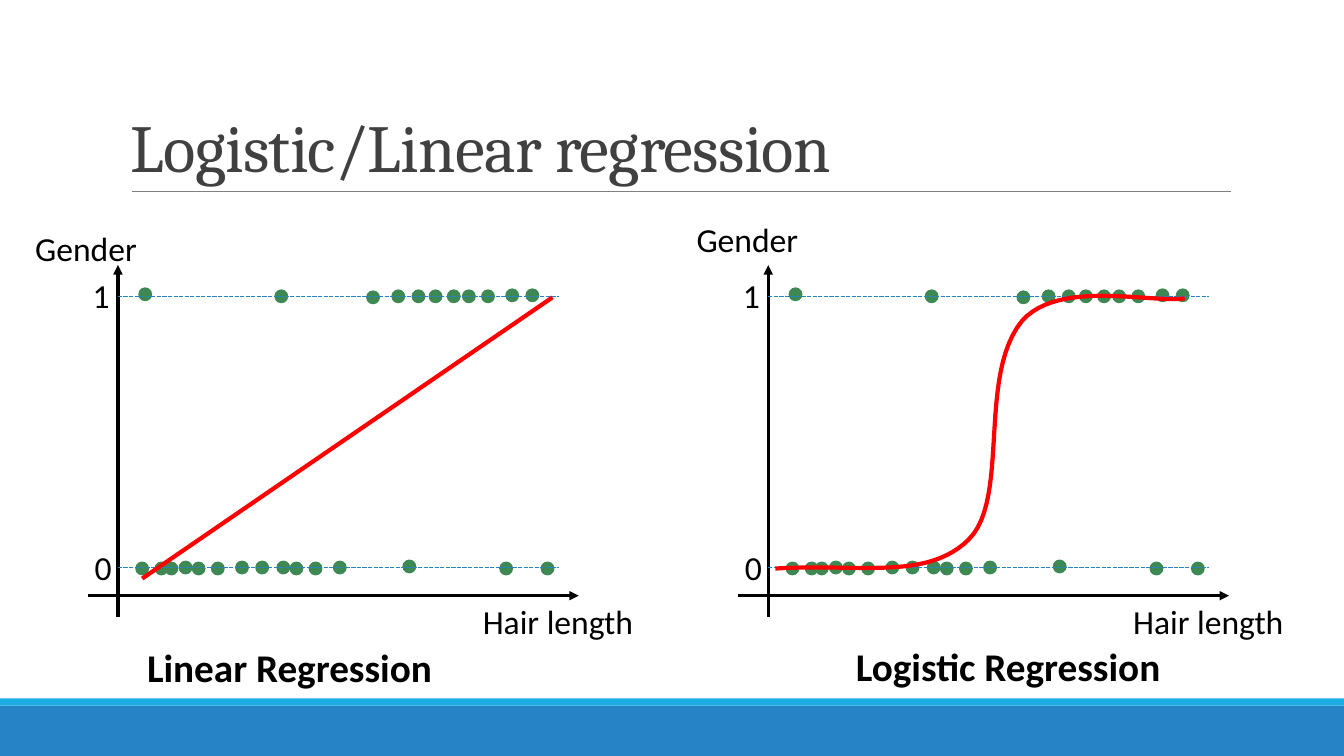
"""Builds a slide comparing linear and logistic regression."""
from pptx import Presentation
from pptx import util as u
from pptx.dml.color import RGBColor
from pptx.enum import dml, shapes, text
from pptx.oxml import ns, xmlchemy

COLORS = {"blue": "2683C6", "cyan": "1CADE4", "rule": "808080", "title": "404040",
          "black": "000000", "dot": "3E8853", "fit": "FF0000"}
DOT = 0.12
ONES = [(0.51, 0.23), (1.86, 0.25), (2.77, 0.26), (3.02, 0.25), (3.22, 0.25),
        (3.39, 0.25), (3.57, 0.25), (3.72, 0.25), (3.91, 0.25), (4.15, 0.24),
        (4.35, 0.24)]
ZEROS = [(0.48, 2.95), (0.67, 2.95), (0.77, 2.95), (0.91, 2.94), (1.04, 2.95),
         (1.23, 2.95), (1.47, 2.94), (1.67, 2.94), (1.88, 2.94), (2.01, 2.95),
         (2.2, 2.95), (2.44, 2.94), (3.13, 2.93), (4.09, 2.95), (4.5, 2.95)]
SIGMOID = [(0.37, 3.01), (1.21, 2.96), (1.88, 3.13), (2.29, 2.72), (2.7, 2.31),
           (2.37, 1.09), (2.82, 0.55), (3.19, 0.14), (4.09, 0.38), (4.43, 0.33)]


def color(name):
    """Return a named colour."""
    return RGBColor.from_string(COLORS[name])


def add_solid(s, kind, x, y, w, h, fill, border=None):
    """Add a filled preset shape, with a border in its own colour if asked."""
    sp = s.shapes.add_shape(kind, *map(u.Inches, (x, y, w, h)))
    sp.shadow.inherit = False
    sp.fill.solid()
    sp.fill.fore_color.rgb = color(fill)
    if border:
        sp.line.color.rgb = color(fill)
        sp.line.width = u.Pt(border)
    else:
        sp.line.fill.background()


def add_line(s, x1, y1, x2, y2, name, width, dash=None, arrow=False):
    """Add a straight line, dashed or with an arrowhead if asked."""
    cx = s.shapes.add_connector(shapes.MSO_CONNECTOR.STRAIGHT,
                                *map(u.Inches, (x1, y1, x2, y2)))
    cx.line.color.rgb = color(name)
    cx.line.width = u.Pt(width)
    if dash:
        cx.line.dash_style = dash
    if arrow:
        tail = xmlchemy.OxmlElement("a:tailEnd")
        tail.set("type", "triangle")
        cx._element.spPr.find(ns.qn("a:ln")).append(tail)
    cx._element.spPr.append(xmlchemy.OxmlElement("a:effectLst"))


def add_text(s, x, y, w, h, words, size, font="Calibri", name="black", bold=False):
    """Add a one-run text box and return its shape."""
    sp = s.shapes.add_textbox(*map(u.Inches, (x, y, w, h)))
    tf = sp.text_frame
    tf.word_wrap = True
    r = tf.paragraphs[0].add_run()
    r.text = words
    r.font.size = u.Pt(size)
    r.font.name = font
    r.font.bold = bold
    r.font.color.rgb = color(name)
    return sp


def add_header(s, x, y, w, h):
    """Add the title and the rule under it."""
    tf = add_text(s, x, y, w, h, "Logistic/Linear regression", 48, "Cambria",
                  "title").text_frame
    tf.vertical_anchor = text.MSO_ANCHOR.BOTTOM
    p = tf.paragraphs[0]
    p.line_spacing = 0.85
    p.runs[0].font._element.set("spc", "-50")
    add_line(s, x + 0.11, y + h, x + w + 0.01, y + h, "rule", 0.5)


def add_footer(s, y, w):
    """Add the two bands at the foot of the slide."""
    add_solid(s, shapes.MSO_SHAPE.RECTANGLE, 0, y + 0.07, w, 0.5, "blue")
    add_solid(s, shapes.MSO_SHAPE.RECTANGLE, 0, y, w, 0.07, "cyan")


def add_plot(s, x, y, w, h, gender_at, caption, caption_at):
    """Add axes, observations, class levels and labels of one plot."""
    axis_x, axis_y = x + 0.3, y + 3.28
    add_line(s, axis_x, y + h, axis_x, y, "black", 2.25, arrow=True)
    add_line(s, x, axis_y, x + w, axis_y, "black", 2.25, arrow=True)
    for dx, dy in ONES + ZEROS:
        add_solid(s, shapes.MSO_SHAPE.OVAL, x + dx, y + dy, DOT, DOT, "dot", 1.25)
    for level in (0.31, 3.0):
        add_line(s, axis_x, y + level, axis_x + 4.37, y + level, "blue", 1,
                 dml.MSO_LINE.SQUARE_DOT)
    for words, dx, dy, width in (("Gender", *gender_at, 1.35),
                                 ("Hair length", 3.82, 3.28, 2.06),
                                 ("1", -0.05, 0.05, 0.3), ("0", -0.03, 2.75, 0.3)):
        add_text(s, x + dx, y + dy, width, 0.5, words, 24)
    dx, dy = caption_at
    add_text(s, x + dx, y + dy, 3.41, 0.57, caption, 28, bold=True)


def bezier(points, steps=24):
    """Sample a chain of cubic curves."""
    out = [points[0]]
    for i in range(0, len(points) - 1, 3):
        for k in range(1, steps + 1):
            t = k / steps
            weights = ((1 - t) ** 3, 3 * t * (1 - t) ** 2, 3 * t * t * (1 - t), t ** 3)
            out.append(tuple(sum(c * pt[axis] for c, pt in zip(weights, points[i:i + 4]))
                             for axis in (0, 1)))
    return out


def add_sigmoid(s, x, y):
    """Add the fitted logistic curve."""
    pts = [(u.Inches(x + dx), u.Inches(y + dy)) for dx, dy in bezier(SIGMOID)]
    fb = s.shapes.build_freeform(*pts[0])
    fb.add_line_segments(pts[1:], close=False)
    sp = fb.convert_to_shape()
    sp.shadow.inherit = False
    sp.fill.background()
    sp.line.color.rgb = color("fit")
    sp.line.width = u.Pt(3)


def main():
    """Build and save the slide."""
    prs = Presentation()
    prs.slide_width, prs.slide_height = u.Inches(13.33), u.Inches(7.5)
    s = prs.slides.add_slide(prs.slide_layouts[6])
    add_footer(s, 6.93, 13.33)
    add_header(s, 1.2, 0.31, 11, 1.59)
    left, right, top = 0.87, 7.32, 2.63
    add_plot(s, left, top, 4.87, 3.49, (-0.62, -0.42), "Linear Regression", (0.49, 3.7))
    add_line(s, left + 0.54, top + 3.11, left + 4.61, top + 0.32, "fit", 3)
    add_plot(s, right, top, 4.87, 3.49, (-0.51, -0.51), "Logistic Regression",
             (1.07, 3.69))
    add_sigmoid(s, right, top)
    prs.save("out.pptx")


main()
